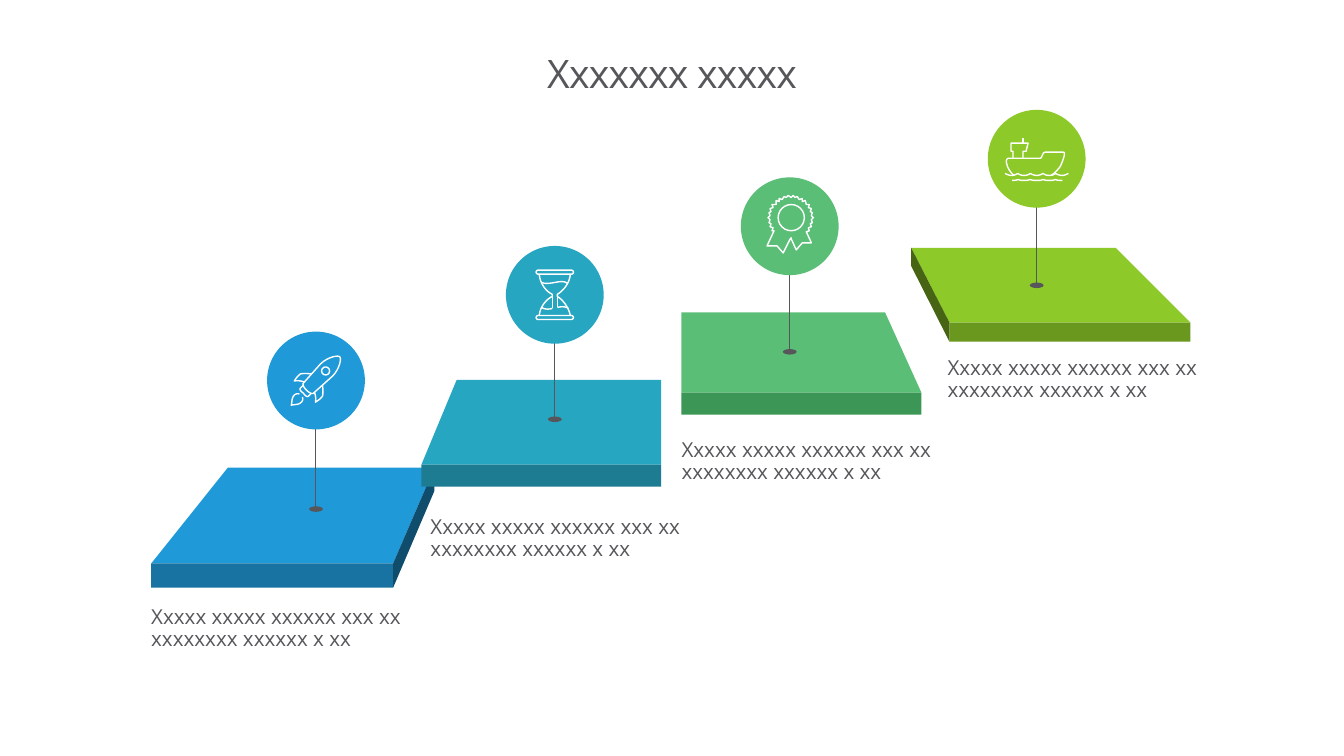
"""Build a slide with four rising platforms, each with a pinned icon badge and a caption."""
from lxml.etree import SubElement
from pptx import Presentation
from pptx.dml.color import RGBColor
from pptx.enum.shapes import MSO_CONNECTOR, MSO_SHAPE
from pptx.enum.text import MSO_ANCHOR, MSO_AUTO_SIZE, PP_ALIGN
from pptx.oxml.ns import qn
from pptx.util import Pt

GRAY = RGBColor(0x57, 0x56, 0x5A)
WHITE = RGBColor(0xFF, 0xFF, 0xFF)
BLUE = RGBColor(0x20, 0x99, 0xD8)
BLUE_FRONT = RGBColor(0x18, 0x73, 0xA2)
BLUE_SIDE = RGBColor(0x10, 0x4C, 0x6C)
TEAL = RGBColor(0x27, 0xA6, 0xC2)
TEAL_FRONT = RGBColor(0x1D, 0x7C, 0x92)
GREEN = RGBColor(0x5B, 0xBE, 0x77)
GREEN_FRONT = RGBColor(0x3C, 0x97, 0x56)
LIME = RGBColor(0x8D, 0xC9, 0x28)
LIME_FRONT = RGBColor(0x6A, 0x97, 0x1E)
LIME_SIDE = RGBColor(0x47, 0x64, 0x14)
FONT = "Open Sans"
CAPTION = "Xxxxx xxxxx xxxxxx xxx xx xxxxxxxx xxxxxx x xx"
BADGE_SIZE = 69.84
PIN_LENGTH = 57
ICON_UNIT = 0.72
CURVE_STEPS = 8

ROCKET = [
    "M 53 32, C 60 25 71 23 72 25 74 26 72 37 65 44, L 46 61, "
    "C 45 62 42 61 39 58 36 55 35 52 36 51, Z",
    "M 36 53, L 33 56, C 32 57 33 59 36 61 38 64 40 65 41 64, L 44 61",
    "M 55 53, C 55 53 56 60 55 64 53 67 48 70 48 70 49 65 47 60 47 60",
    "M 44 42, C 44 42 37 41 33 42 30 44 27 49 27 49 32 48 37 50 37 50",
    "O 54 35 8 8",
    "M 32 62, C 30 61 28 62 27 63 24 66 25 70 24 73 27 72 31 73 34 70 35 69 36 67 35 65",
]
HOURGLASS = [
    "M 64 69, C 62 60 56 53 51 50, L 51 48, C 56 45 63 38 64 28",
    "M 33 28, C 34 38 40 45 46 48, L 46 50, C 40 53 34 60 33 69",
    "M 32 69, C 31 69 30 70 30 71 30 72 31 73 32 73, L 65 73, C 66 73 67 72 67 71 67 70 66 69 65 69, Z",
    "M 32 24, C 31 24 30 25 30 26 30 27 31 28 32 28, L 65 28, C 66 28 67 27 67 26 67 25 66 24 65 24, Z",
    "M 61 37, C 55 32 43 40 35 36",
    "M 46 62, C 42 63 39 63 35 61",
    "M 62 62, C 59 60 55 60 51 61",
    "M 46 62, L 46 49",
    "M 51 61, L 51 48",
]
MEDAL = [
    "M 70 42, L 72 40 70 38 71 35 69 34 70 31 67 30 68 27 65 27 64 23 61 24 61 21 58 22 56 19 "
    "54 20 52 18 50 20 47 18 45 20 43 19 41 22 38 21 38 24 35 23 35 27 31 27 32 30 29 31 30 34 "
    "28 35 29 38 27 40 29 42 28 45 30 46 29 49 32 50 31 53 33 53 26 68 36 68 42 75 49 61 50 60 "
    "50 61 55 72 61 65 70 65 65 54 68 53 67 50 70 49 69 46 71 45, Z",
    "O 37 27 26 26",
]
SHIP = [
    "M 63 65, C 66 63 69 60 72 56 76 47 77 42 75 42 72 42 60 42 57 42 54 42 54 48 52 48 "
    "50 48 24 48 21 48 18 48 18 52 19 54 19 56 22 62 26 65",
    "M 74 70, C 71 70 69 70 67 69 65 70 63 70 61 70 59 70 57 70 55 69 53 70 51 70 49 70 "
    "46 70 44 70 42 69 40 70 38 70 36 70 34 70 32 70 30 69 28 70 26 70 24 70",
    "M 17 63, C 19 64 21 65 24 65 26 65 28 64 30 63 31 64 33 65 36 65 39 65 41 64 42 63 "
    "44 64 46 65 49 65 51 65 53 64 55 63 56 64 58 65 61 65 64 65 66 64 67 63 69 64 71 65 74 65 "
    "76 65 78 64 80 63",
    "M 25 48, L 25 41 23 41 23 33 40 33 38 41 35 41 35 48",
    "M 35 33, L 35 28",
]

PLATFORMS = [
    (BLUE, BLUE_FRONT, (162.7, 310.3, 334.1), (108, 280.8, 402.5), 17.3),
    (TEAL, TEAL_FRONT, (326.2, 472.3, 271.4), (301, 472.3, 331.9), 15.8),
    (GREEN, GREEN_FRONT, (486.7, 632.2, 223.2), (486.7, 658.1, 280.4), 15.8),
    (LIME, LIME_FRONT, (650.9, 797, 177.1), (678.2, 850.3, 230.4), 13.7),
]
SIDES = [
    (BLUE_SIDE, [(280.8, 402.5), (280.8, 419.8), (310.3, 350.6), (310.3, 334.1)]),
    (LIME_SIDE, [(678.2, 230.4), (678.2, 244.1), (650.9, 190.1), (650.9, 177.1)]),
]
BADGES = [
    (BLUE, 190.8, 236.9, 363.6, ROCKET),
    (TEAL, 361.4, 175.7, 299.5, HOURGLASS),
    (GREEN, 529.2, 126.7, 251.3, MEDAL),
    (LIME, 705.6, 78.5, 203.8, SHIP),
]
CAPTION_SPOTS = [(98.6, 429.8), (298.1, 365.8), (477.4, 311), (667.4, 252)]

deck = Presentation()
deck.slide_width, deck.slide_height = Pt(960), Pt(540)
page = deck.slides.add_slide(deck.slide_layouts[6])
shapes = page.shapes


def paint(shape, fill=None, line=None, width=1):
    if hasattr(shape, "fill"):
        if fill is None:
            shape.fill.background()
        else:
            shape.fill.solid()
            shape.fill.fore_color.rgb = fill
    if line is None:
        shape.line.fill.background()
    else:
        shape.line.color.rgb = line
        shape.line.width = Pt(width)
    SubElement(shape._element.spPr, qn("a:effectLst"))


def add_outline(points, closed=True):
    corners = [(Pt(x), Pt(y)) for x, y in points]
    builder = shapes.build_freeform(*corners[0])
    builder.add_line_segments(corners[1:], close=closed)
    return builder.convert_to_shape()


for top_color, front_color, back, front, depth in PLATFORMS:
    back_left, back_right, back_y = back
    left, right, front_y = front
    top = [(back_left, back_y), (back_right, back_y), (right, front_y), (left, front_y)]
    paint(add_outline(top), top_color)
    face = shapes.add_shape(MSO_SHAPE.RECTANGLE, Pt(left), Pt(front_y), Pt(right - left), Pt(depth))
    paint(face, front_color)
    for side_color, side in SIDES:
        if side[0] in top and side[3] in top:
            paint(add_outline(side), side_color)

title = shapes.add_textbox(Pt(72), Pt(22.3), Pt(816), Pt(64.1))
captions = [shapes.add_textbox(Pt(x), Pt(y), Pt(241.2), Pt(40.3)) for x, y in CAPTION_SPOTS]
for box in [title, *captions]:
    is_title = box is title
    frame = box.text_frame
    frame.word_wrap = True
    frame.auto_size = MSO_AUTO_SIZE.NONE if is_title else MSO_AUTO_SIZE.SHAPE_TO_FIT_TEXT
    frame.vertical_anchor = MSO_ANCHOR.MIDDLE if is_title else MSO_ANCHOR.TOP
    frame.margin_left = frame.margin_right = Pt(0 if is_title else 9.4)
    frame.margin_top = Pt(0 if is_title else 3.6)
    frame.margin_bottom = Pt(0 if is_title else 5)
    para = frame.paragraphs[0]
    para.alignment = PP_ALIGN.CENTER if is_title else PP_ALIGN.LEFT
    para.line_spacing = 0.86 if is_title else 0.89
    span = para.add_run()
    span.text = "Xxxxxxx xxxxx" if is_title else CAPTION
    span.font.name = FONT
    span.font.size = Pt(28 if is_title else 14.7)
    span.font.color.rgb = GRAY
    if is_title:
        span._r.get_or_add_rPr().set("spc", "-50")

for color, left, top, pin_end, icon in BADGES:
    pin_x = Pt(left + BADGE_SIZE / 2)
    pin = shapes.add_connector(MSO_CONNECTOR.STRAIGHT, pin_x, Pt(pin_end - PIN_LENGTH), pin_x, Pt(pin_end))
    paint(pin, line=GRAY, width=0.75)
    SubElement(pin.line._get_or_add_ln(), qn("a:tailEnd"), type="oval", w="lg", len="sm")
    badge = shapes.add_shape(MSO_SHAPE.OVAL, Pt(left), Pt(top), Pt(BADGE_SIZE), Pt(BADGE_SIZE))
    paint(badge, color)
    for stroke in icon:
        points = []
        for step in stroke.split(", "):
            command, *numbers = step.split()
            values = [int(number) * ICON_UNIT for number in numbers]
            pairs = [(left + x, top + y) for x, y in zip(values[::2], values[1::2])]
            if command != "C":
                points += pairs
                continue
            for first in range(0, len(pairs), 3):
                curve = [points[-1], *pairs[first:first + 3]]
                for index in range(1, CURVE_STEPS + 1):
                    t = index / CURVE_STEPS
                    weights = ((1 - t) ** 3, 3 * t * (1 - t) ** 2, 3 * t * t * (1 - t), t ** 3)
                    points.append([sum(w * p[axis] for w, p in zip(weights, curve)) for axis in (0, 1)])
        if stroke.startswith("O"):
            part = shapes.add_shape(MSO_SHAPE.OVAL, *map(Pt, points[0]), *map(Pt, values[2:]))
        elif len(points) == 2:
            part = shapes.add_connector(MSO_CONNECTOR.STRAIGHT, *map(Pt, points[0]), *map(Pt, points[1]))
        else:
            part = add_outline(points, stroke.endswith("Z"))
        paint(part, line=WHITE)

deck.save("out.pptx")
